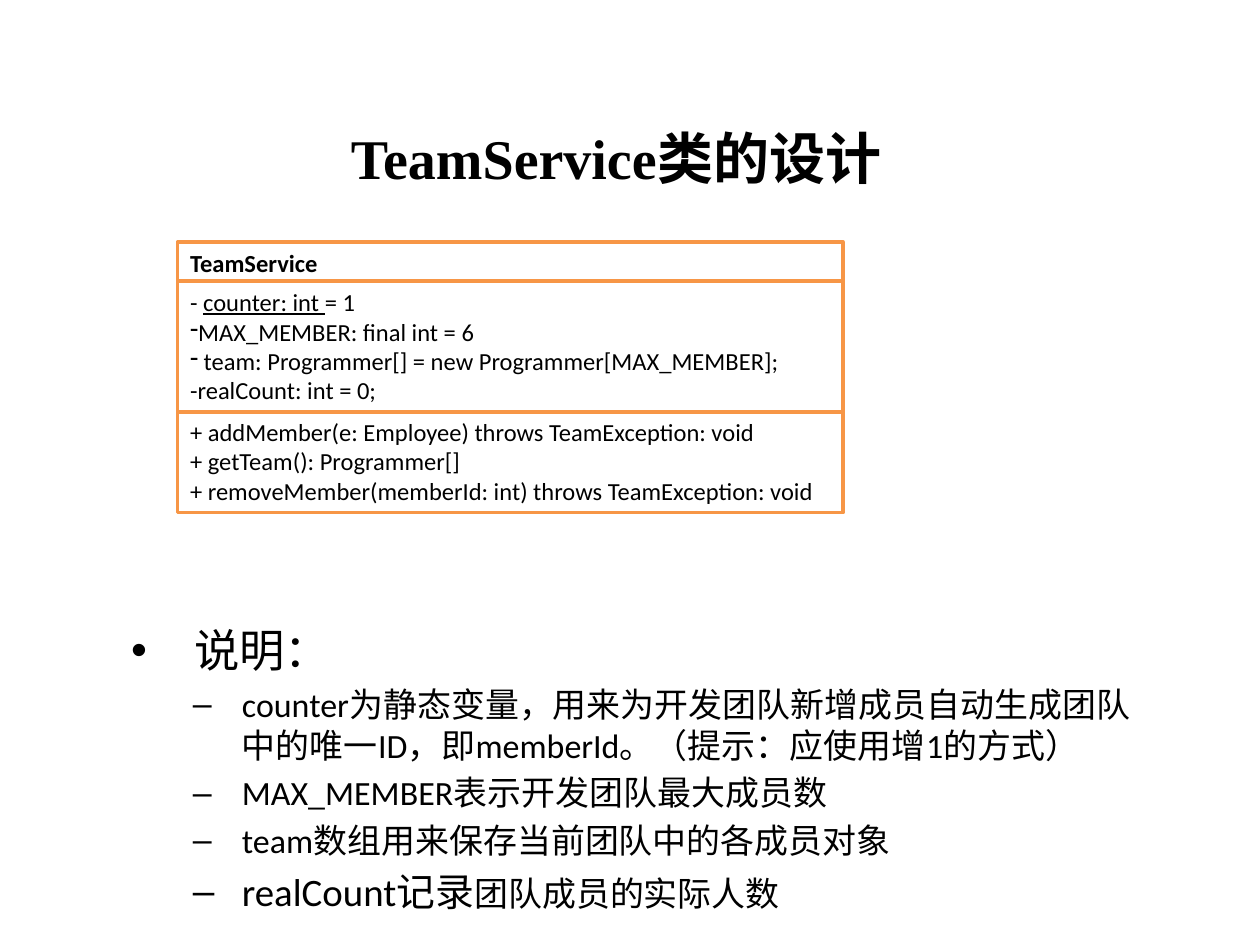
from dataclasses import dataclass

from lxml.etree import SubElement
from pptx import Presentation
from pptx.dml.color import RGBColor
from pptx.enum.shapes import MSO_SHAPE as Shape
from pptx.enum.text import MSO_ANCHOR as Anchor, MSO_AUTO_SIZE as AutoSize, PP_ALIGN as Align
from pptx.oxml.ns import qn
from pptx.util import Inches, Pt


@dataclass(frozen=True)
class Theme:
    ink: RGBColor = RGBColor(0, 0, 0)
    paper: RGBColor = RGBColor(255, 255, 255)
    border: RGBColor = RGBColor(0xF7, 0x96, 0x46)
    title_font: str = "Times New Roman"
    body_font: str = "Calibri"
    title_size: float = 32
    heading_size: float = 25.9
    note_size: float = 19.4
    accent_size: float = 22.2
    class_size: float = 14


THEME = Theme()

CLASS_LEFT, CLASS_WIDTH = 1.41, 5.28
NAME = [["TeamService"]]
METHODS = [
    ["+ addMember(e: Employee) throws TeamException: void"],
    ["+ getTeam(): Programmer[]"],
    ["+ removeMember(memberId: int) throws TeamException: void"],
]
FIELDS = [
    ["- ", "counter: int ", "= 1"],
    ["MAX_MEMBER: final int = 6"],
    [" team: Programmer[] = new Programmer[MAX_MEMBER];"],
    ["-realCount: int = 0;"],
]
DASHED_FIELDS = (1, 2)

HEADING = "说明："
NOTES = [
    ["counter为静态变量，用来为开发团队新增成员自动生成团队中的唯一ID，即memberId。（提示：应使用增1的方式）"],
    ["MAX_MEMBER表示开发团队最大成员数"],
    ["team数组用来保存当前团队中的各成员对象"],
    ["realCount记录", "团队成员的实际人数"],
]


def place(box, left, top, width, height):
    box.left, box.top = Inches(left), Inches(top)
    box.width, box.height = Inches(width), Inches(height)


def style(span, size, font=THEME.body_font, bold=False):
    span.font.name = font
    span.font.size = Pt(size)
    span.font.bold = bold
    span.font.color.rgb = THEME.ink


def add_spans(para, texts, size, bold=False):
    for text in texts:
        span = para.add_run()
        span.text = text
        style(span, size, bold=bold)


def set_indent(para, margin, hanging):
    properties = para._p.get_or_add_pPr()
    properties.set("marL", str(Inches(margin)))
    properties.set("indent", str(Inches(hanging)))
    return properties


def add_dash(para):
    SubElement(set_indent(para, 0, 0), qn("a:buChar")).set("char", "-")


def fill_title(box):
    place(box, 0.39, 0.78, 9, 0.94)
    frame = box.text_frame
    frame.text = "TeamService类的设计"
    frame.vertical_anchor = Anchor.MIDDLE
    para = frame.paragraphs[0]
    para.alignment = Align.CENTER
    style(para.runs[0], THEME.title_size, THEME.title_font, bold=True)


def fill_notes(box):
    place(box, 0.94, 1.84, 8.24, 5.27)
    frame = box.text_frame
    frame.auto_size = AutoSize.NONE
    frame.margin_top, frame.margin_bottom = Inches(3.1), 0
    heading = frame.paragraphs[0]
    heading.space_before = Pt(0)
    set_indent(heading, 0.5, -0.5)
    add_spans(heading, [HEADING], THEME.heading_size)
    for texts in NOTES:
        para = frame.add_paragraph()
        para.level = 1
        set_indent(para, 0.88, -0.39)
        add_spans(para, texts, THEME.note_size)
    para.runs[0].font.size = Pt(THEME.accent_size)


def add_compartment(page, top, height, lines, bold=False):
    box = page.shapes.add_shape(
        Shape.RECTANGLE, Inches(CLASS_LEFT), Inches(top), Inches(CLASS_WIDTH), Inches(height)
    )
    box.shadow.inherit = False
    box.fill.solid()
    box.fill.fore_color.rgb = THEME.paper
    box.line.color.rgb = THEME.border
    box.line.width = Pt(2)
    frame = box.text_frame
    frame.word_wrap = True
    frame.auto_size = AutoSize.SHAPE_TO_FIT_TEXT
    frame.vertical_anchor = Anchor.TOP
    for index, texts in enumerate(lines):
        para = frame.add_paragraph() if index else frame.paragraphs[0]
        para.alignment = Align.LEFT
        add_spans(para, texts, THEME.class_size, bold)
    return frame.paragraphs


def add_class_diagram(page):
    add_compartment(page, 1.92, 0.34, NAME, bold=True)
    add_compartment(page, 3.26, 0.81, METHODS)
    fields = add_compartment(page, 2.23, 1.04, FIELDS)
    fields[0].runs[1].font.underline = True
    for index in DASHED_FIELDS:
        add_dash(fields[index])


def main():
    deck = Presentation()
    deck.slide_width, deck.slide_height = Inches(10), Inches(7.5)
    page = deck.slides.add_slide(deck.slide_layouts[1])
    fill_title(page.shapes.title)
    fill_notes(page.placeholders[1])
    add_class_diagram(page)
    deck.save("out.pptx")


if __name__ == "__main__":
    main()
